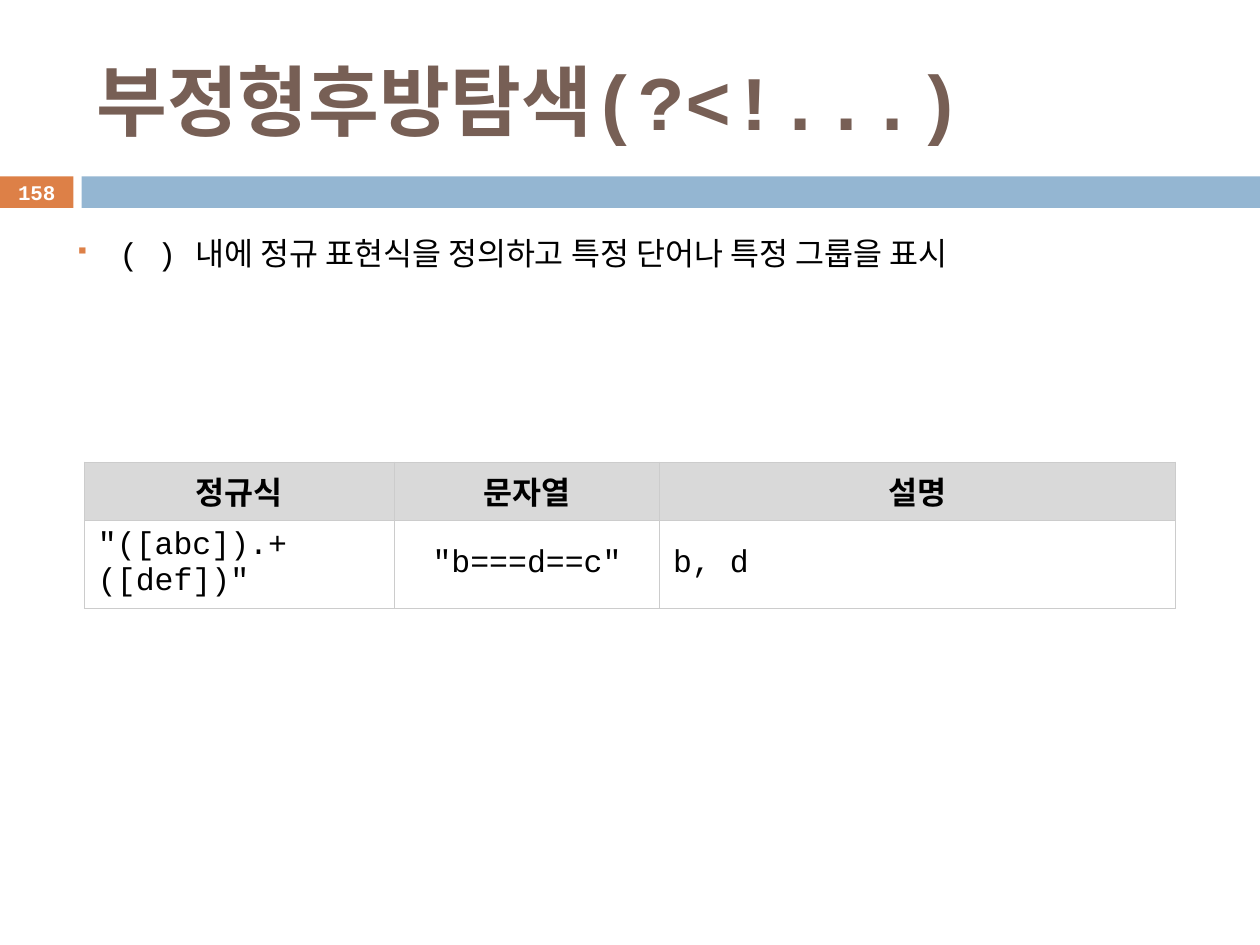
from lxml import etree
from pptx import Presentation
from pptx.dml.color import RGBColor
from pptx.enum import shapes, text
from pptx.oxml import ns
from pptx.util import Pt

COLORS = {
    "title": "775F55", "accent": "DD8047", "band": "94B6D2", "ink": "000000",
    "header": "D9D9D9", "border": "CCCCCC", "white": "FFFFFF",
}
FONT = "Courier New"
LEFT, CENTER = text.PP_ALIGN.LEFT, text.PP_ALIGN.CENTER
MIDDLE, TOP = text.MSO_ANCHOR.MIDDLE, text.MSO_ANCHOR.TOP


def color(name):
    return RGBColor.from_string(COLORS[name])


def add_element(parent, tag, **attributes):
    return etree.SubElement(parent, ns.qn(tag), attributes)


def write(para, words, size=18, ink="ink", bold=False, align=LEFT):
    para.alignment = align
    span = para.add_run()
    span.text = words
    span.font.name = FONT
    span.font.size = Pt(size)
    span.font.bold = bold
    span.font.color.rgb = color(ink)


def add_box(page, left, top, width, height, anchor=MIDDLE):
    box = page.shapes.add_textbox(Pt(left), Pt(top), Pt(width), Pt(height))
    box.text_frame.word_wrap = True
    box.text_frame.vertical_anchor = anchor
    return box.text_frame.paragraphs[0]


def add_bar(page, left, top, width, height, fill):
    bar = page.shapes.add_shape(
        shapes.MSO_SHAPE.RECTANGLE, Pt(left), Pt(top), Pt(width), Pt(height))
    bar.shadow.inherit = False
    bar.fill.solid()
    bar.fill.fore_color.rgb = color(fill)
    bar.line.fill.background()


def add_number_band(page, left, top, width, height, number):
    number_width, gap = 42, 4.7
    band_left = number_width + gap
    add_bar(page, left, top, number_width, height, "accent")
    add_bar(page, left + band_left, top, width - band_left, height, "band")
    para = add_box(page, left, top - 0.5, number_width, height + 1)
    write(para, number, size=11.9, ink="white", bold=True, align=CENTER)


def add_title(page, left, top, width, height, words):
    para = add_box(page, left, top, width, height)
    write(para, words, size=44, ink="title", bold=True)


def add_bullet(page, left, top, width, height, words):
    para = add_box(page, left, top, width, height, TOP)
    para.line_spacing = 1.2
    layout = para._p.get_or_add_pPr()
    layout.set("marL", str(Pt(25.2)))
    layout.set("indent", str(Pt(-25.2)))
    add_element(add_element(layout, "a:buClr"), "a:srgbClr", val=COLORS["accent"])
    add_element(layout, "a:buSzPct", val="60000")
    add_element(layout, "a:buChar", char="▪")
    write(para, words)


def add_borders(cell):
    properties = cell._tc.get_or_add_tcPr()
    for position, side in enumerate(("a:lnL", "a:lnR", "a:lnT", "a:lnB")):
        line = etree.Element(ns.qn(side), w=str(Pt(0.6)))
        add_element(add_element(line, "a:solidFill"), "a:srgbClr", val=COLORS["border"])
        properties.insert(position, line)


def add_pattern_table(page, left, top, width, height, rows):
    shares = (2.46, 2.1, 4.09)
    table = page.shapes.add_table(
        len(rows), len(shares), Pt(left), Pt(top), Pt(width), Pt(height)).table
    for column, share in zip(table.columns, shares):
        column.width = Pt(width * share / sum(shares))
    for row_index, row in enumerate(rows):
        header = row_index == 0
        for column_index, words in enumerate(row):
            cell = table.cell(row_index, column_index)
            cell.vertical_anchor = MIDDLE
            cell.margin_left = cell.margin_right = Pt(7.8)
            cell.margin_top = cell.margin_bottom = Pt(3.6)
            cell.fill.solid()
            cell.fill.fore_color.rgb = color("header" if header else "white")
            add_borders(cell)
            align = CENTER if header or column_index == 1 else LEFT
            write(cell.text_frame.paragraphs[0], words, bold=header, align=align)


def main():
    deck = Presentation()
    deck.slide_width, deck.slide_height = Pt(720), Pt(540)
    page = deck.slides.add_slide(deck.slide_layouts[6])
    add_number_band(page, 0, 100.8, 720, 18, "158")
    add_title(page, 48, 18, 642, 78, "부정형후방탐색(?<!...)")
    add_bullet(page, 36, 126, 648, 47.5,
               "( ) 내에 정규 표현식을 정의하고 특정 단어나 특정 그룹을 표시")
    add_pattern_table(page, 48.2, 264, 623.5, 66.4, [
        ("정규식", "문자열", "설명"),
        ('"([abc]).+([def])"', '"b===d==c"', "b, d"),
    ])
    deck.save("out.pptx")


if __name__ == "__main__":
    main()
